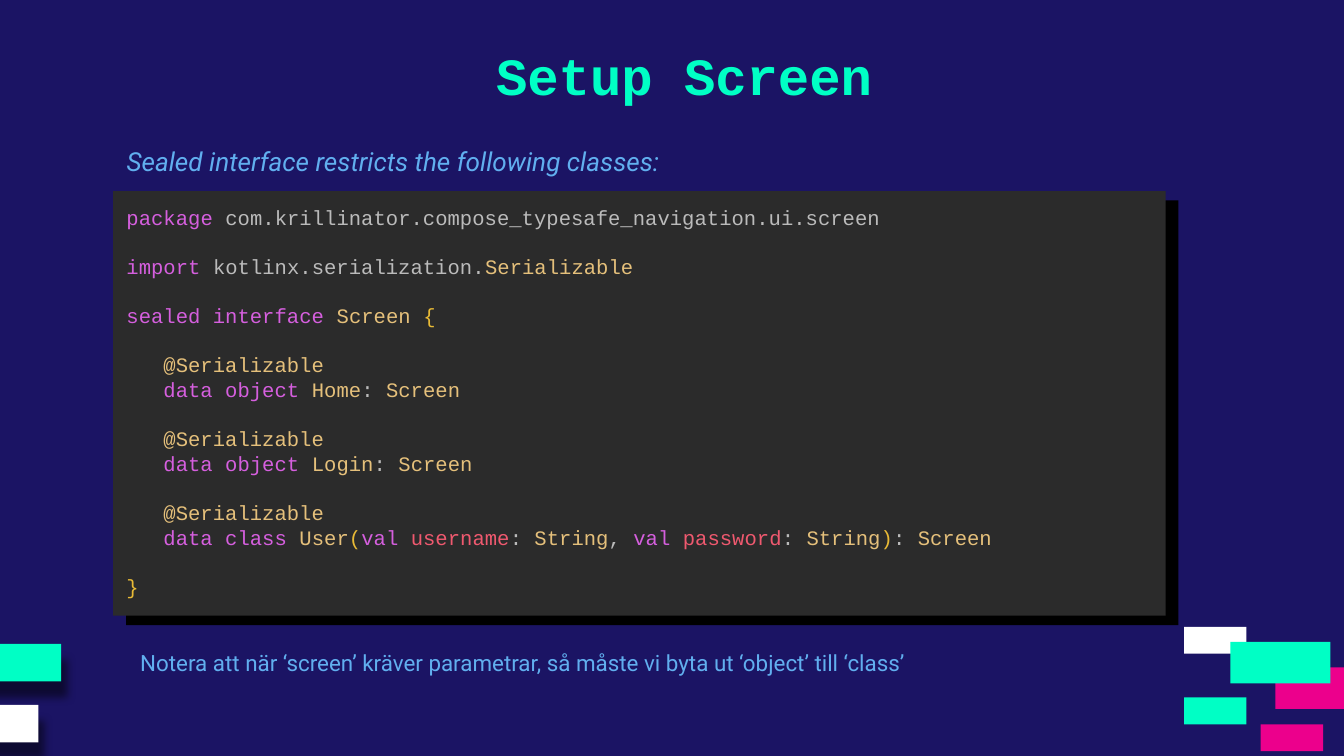
from lxml.etree import SubElement
from pptx import Presentation
from pptx.dml.color import RGBColor
from pptx.enum.shapes import MSO_SHAPE
from pptx.enum.text import MSO_ANCHOR, PP_ALIGN
from pptx.oxml.ns import qn
from pptx.util import Inches, Pt

COLORS = {
    "navy": "1B1464", "black": "000000", "white": "FFFFFF",
    "mint": "00FFC5", "pink": "EC008C", "panel": "2B2B2B", "blue": "61AFEF",
    "keyword": "D55FDE", "plain": "BBBBBB", "type": "E5C07B",
    "bracket": "E8BA36", "param": "EF596F",
}
WIDTH = Inches(10)
HEIGHT = WIDTH * 9 // 16
COLUMNS = 100
CELL = WIDTH // COLUMNS
MONO, SANS = "Courier New", "Roboto"
CODE_SIZE, CODE_PITCH, CODE_INDENT = 11, 13.2, 19.8

PACKAGE = [("package ", "keyword"),
           ("com.krillinator.compose_typesafe_navigation.ui.screen", "plain")]
IMPORT = [("import ", "keyword"), ("kotlinx.serialization.", "plain"),
          ("Serializable", "type")]
INTERFACE = [("sealed interface ", "keyword"), ("Screen ", "type"), ("{", "bracket")]
ANNOTATION = [("@Serializable", "type")]
PARENT = [(": ", "plain"), ("Screen", "type")]


def data_object(name):
    return [("data object ", "keyword"), (name, "type")] + PARENT


def parameter(name):
    return [("val ", "keyword"), (name, "param"), (": ", "plain"), ("String", "type")]


USER = [("data class ", "keyword"), ("User", "type"), ("(", "bracket"),
        *parameter("username"), (", ", "plain"), *parameter("password"),
        (")", "bracket"), *PARENT]
CODE = [
    (PACKAGE, 0, False), (IMPORT, 0, True), (INTERFACE, 0, True),
    (ANNOTATION, 1, True), (data_object("Home"), 1, False),
    (ANNOTATION, 1, True), (data_object("Login"), 1, False),
    (ANNOTATION, 1, True), (USER, 1, False),
    ([("}", "bracket")], 0, True),
]


def rgb(name):
    return RGBColor.from_string(COLORS[name])


def add_run(p, text, font=SANS, size=12, color="blue", bold=False, italic=False):
    r = p.add_run()
    r.text = text
    r.font.name, r.font.size = font, Pt(size)
    r.font.bold, r.font.italic = bold, italic
    r.font.color.rgb = rgb(color)


class Deck:
    def __init__(self):
        self.prs = Presentation()
        self.prs.slide_width, self.prs.slide_height = WIDTH, HEIGHT
        self.s = self.prs.slides.add_slide(self.prs.slide_layouts[6])
        self.s.background.fill.solid()
        self.s.background.fill.fore_color.rgb = rgb("navy")

    def grid(self, *lengths):
        return [round(n * CELL) for n in lengths]

    def block(self, col, row, cols, rows, color, shadow=False):
        sp = self.s.shapes.add_shape(MSO_SHAPE.RECTANGLE,
                                     *self.grid(col, row, cols, rows))
        sp.shadow.inherit = False
        sp.fill.solid()
        sp.fill.fore_color.rgb = rgb(color)
        sp.line.fill.background()
        if shadow:
            effects = sp.element.spPr.find(qn("a:effectLst"))
            outer = SubElement(effects, qn("a:outerShdw"), blurRad=str(Pt(4.5)),
                               dist=str(Pt(9)), dir=str(70 * 60000),
                               algn="bl", rotWithShape="0")
            tint = SubElement(outer, qn("a:srgbClr"), val=COLORS["black"])
            SubElement(tint, qn("a:alpha"), val="50000")
        return sp

    def frame(self, sp, anchor=MSO_ANCHOR.TOP):
        tf = sp.text_frame
        tf.word_wrap = True
        tf.vertical_anchor = anchor
        tf.margin_left = tf.margin_right = tf.margin_top = tf.margin_bottom = CELL
        return tf

    def text(self, col, row, cols, rows, text, align=PP_ALIGN.LEFT,
             anchor=MSO_ANCHOR.TOP, **style):
        sp = self.s.shapes.add_textbox(*self.grid(col, row, cols, rows))
        p = self.frame(sp, anchor).paragraphs[0]
        p.alignment = align
        add_run(p, text, **style)

    def code(self, col, row, cols, rows, lines):
        self.block(col + 0.95, row + 0.7, cols, rows, "black")
        tf = self.frame(self.block(col, row, cols, rows, "panel"))
        for i, (runs, level, gap) in enumerate(lines):
            p = tf.add_paragraph() if i else tf.paragraphs[0]
            p.alignment = PP_ALIGN.LEFT
            p.line_spacing = Pt(CODE_PITCH)
            p.space_before = Pt(CODE_PITCH if gap else 0)
            p._p.get_or_add_pPr().set("marL", str(Pt(CODE_INDENT * level)))
            for text, color in runs:
                add_run(p, text, font=MONO, size=CODE_SIZE, color=color)


def main():
    deck = Deck()
    for col, row, color in [(-2.7, 47.9, "mint"), (-4.4, 52.45, "white")]:
        deck.block(col, row, 7.25, 2.8, color, shadow=True)
    deck.block(94.9, 49.65, 7.45, 3.1, "pink")
    for col, row, color in [(88.1, 46.65, "white"), (88.1, 51.9, "mint"),
                            (93.8, 53.9, "pink")]:
        deck.block(col, row, 4.65, 2, color)
    deck.block(91.55, 47.75, 7.45, 3.1, "mint")

    deck.text(28.5, 1.9, 44.8, 7.3, "Setup Screen", align=PP_ALIGN.CENTER,
              anchor=MSO_ANCHOR.MIDDLE, font=MONO, size=28, color="mint", bold=True)
    deck.code(8.43, 14.22, 78.3, 31.6, CODE)
    deck.text(8.43, 9.8, 68.2, 4.4, "Sealed interface restricts the following classes:",
              size=14, italic=True)
    deck.text(9.45, 47.3, 68.1, 4,
              "Notera att när ‘screen’ kräver parametrar, "
              "så måste vi byta ut ‘object’ till ‘class’")
    deck.prs.save("out.pptx")


if __name__ == "__main__":
    main()
